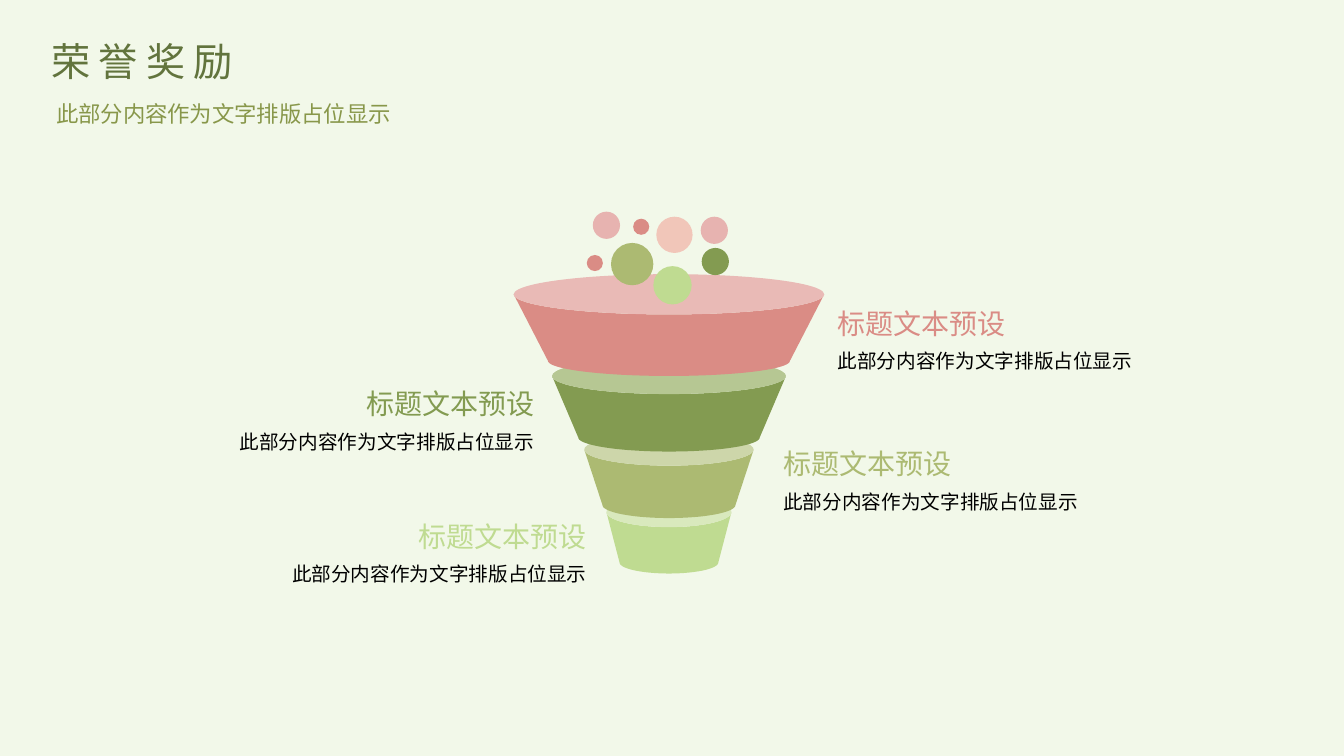
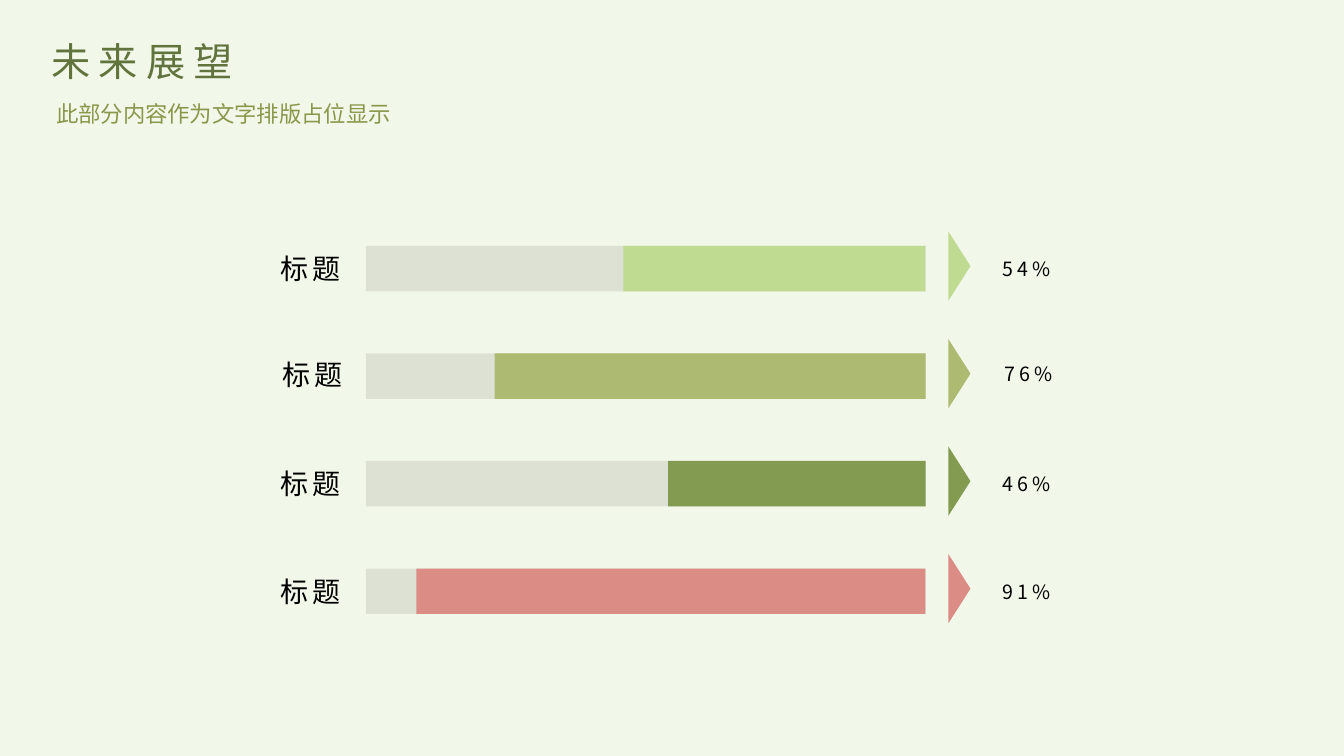
import math

from lxml import etree
from pptx import Presentation
from pptx.dml import color
from pptx.enum import shapes, text
from pptx.oxml import ns
from pptx.util import Inches, Pt

# Shared look
FONT = "Noto Sans CJK SC"
COLOURS = {
    "page": "F2F8E9", "title": "62743D", "subtitle": "88974A", "black": "000000",
    "rose": "DA8C85", "rose_lid": "E9BAB6", "blush": "E7B3B0", "peach": "F1C6B9",
    "moss": "839B51", "moss_lid": "B6C793",
    "olive": "ACBA72", "olive_lid": "CDD6AA",
    "lime": "BFDB91", "lime_lid": "D9E9BD",
}
LEFT, RIGHT = text.PP_ALIGN.LEFT, text.PP_ALIGN.RIGHT
TITLE_STYLE = {"size": 28, "colour": "title", "spacing": 6, "grow": True}
SUBTITLE_STYLE = {"size": 16, "colour": "subtitle", "align": RIGHT,
                  "line_spacing": 1.2, "wrap": False, "grow": True}
ROW_STYLE = {"colour": "black", "spacing": 3, "anchor": text.MSO_ANCHOR.MIDDLE}

# Content
SUBTITLE = "此部分内容作为文字排版占位显示"

# Funnel, top to bottom: rim and base are (centre y, half width, half height)
FUNNEL_X = 6.635
FUNNEL = [
    {"colour": "rose", "rim": (2.92, 1.54, 0.2), "base": (3.58, 1.2, 0.15),
     "edge": 8.21, "top": 2.99, "align": LEFT},
    {"colour": "moss", "rim": (3.73, 1.16, 0.18), "base": (4.34, 0.9, 0.14),
     "edge": 5.4, "top": 3.79, "align": RIGHT},
    {"colour": "olive", "rim": (4.46, 0.84, 0.16), "base": (5.01, 0.66, 0.13),
     "edge": 7.67, "top": 4.38, "align": LEFT},
    {"colour": "lime", "rim": (5.08, 0.62, 0.15), "base": (5.58, 0.49, 0.11),
     "edge": 5.92, "top": 5.1, "align": RIGHT},
]
LABEL_TITLE, LABEL_BODY = "标题文本预设", "此部分内容作为文字排版占位显示"

# Balls: left, top, diameter, colour
BALLS = [
    (6.48, 2.64, 0.38, "lime"), (6.51, 2.15, 0.36, "peach"),
    (6.06, 2.41, 0.42, "olive"), (6.96, 2.46, 0.27, "moss"),
    (6.95, 2.15, 0.27, "blush"), (5.88, 2.1, 0.27, "blush"),
    (5.82, 2.53, 0.16, "rose"), (6.28, 2.17, 0.16, "rose"),
]

# Progress rows: label, percentage, filled share, colour, text shift (x, y)
ROWS = [
    ("标题", "54%", 0.54, "lime", (0, 0)),
    ("标题", "76%", 0.77, "olive", (0.02, -0.02)),
    ("标题", "46%", 0.46, "moss", (0, 0)),
    ("标题", "91%", 0.91, "rose", (0, 0)),
]
BAR_LEFT, BAR_TOP, BAR_WIDTH, BAR_HEIGHT = 3.63, 2.44, 5.55, 0.45
ROW_STEP = 3.2 / 3
ARROW_LONG, ARROW_SHORT, ARROW_X = 0.69, 0.22, 9.515


def rgb(name):
    return color.RGBColor.from_string(COLOURS[name])


def paint(shape, colour, opacity=None):
    shape.shadow.inherit = False
    shape.fill.solid()
    shape.fill.fore_color.rgb = rgb(colour)
    shape.line.fill.background()
    if opacity is not None:
        srgb = shape.fill._xPr.find(".//" + ns.qn("a:srgbClr"))
        etree.SubElement(srgb, ns.qn("a:alpha")).set("val", str(opacity * 1000))
    return shape


def add_preset(slide, kind, box, colour, opacity=None):
    shape = slide.shapes.add_shape(kind, *map(Inches, box))
    return paint(shape, colour, opacity)


def add_text(slide, box, wording, size, colour, align=LEFT, spacing=0,
             line_spacing=None, wrap=True, grow=False, anchor=text.MSO_ANCHOR.TOP):
    frame = slide.shapes.add_textbox(*map(Inches, box)).text_frame
    paragraph = frame.paragraphs[0]
    run = paragraph.add_run()
    run.text = wording
    fit = text.MSO_AUTO_SIZE
    formats = [
        (frame, {"word_wrap": wrap, "vertical_anchor": anchor,
                 "auto_size": fit.SHAPE_TO_FIT_TEXT if grow else fit.NONE}),
        (paragraph, {"alignment": align, "line_spacing": line_spacing}),
        (run.font, {"name": FONT, "size": Pt(size)}),
        (run.font.color, {"rgb": rgb(colour)}),
    ]
    for target, values in formats:
        for name, value in values.items():
            setattr(target, name, value)
    # East Asian font and letter spacing
    properties = run._r.get_or_add_rPr()
    etree.SubElement(properties, ns.qn("a:ea")).set("typeface", FONT)
    if spacing:
        properties.set("spc", str(spacing * 100))


def add_page(prs, title):
    slide = prs.slides.add_slide(prs.slide_layouts[6])
    add_text(slide, (0.41, 0.32, 2.75, 0.57), title, **TITLE_STYLE)
    add_text(slide, (0.41, 0.89, 3.57, 0.4), SUBTITLE, **SUBTITLE_STYLE)
    return slide


def lower_arc(ellipse, steps=40):
    """Points on the lower half of an ellipse, from left to right."""
    y, half_width, half_height = ellipse
    angles = [math.pi * (1 - i / steps) for i in range(steps + 1)]
    return [(Inches(FUNNEL_X + half_width * math.cos(a)),
             Inches(y + half_height * math.sin(a))) for a in angles]


def add_layer(slide, layer):
    # Body between rim and base, then the lid
    start, *outline = lower_arc(layer["rim"]) + lower_arc(layer["base"])[::-1]
    builder = slide.shapes.build_freeform(*start)
    builder.add_line_segments(outline, close=True)
    paint(builder.convert_to_shape(), layer["colour"])
    y, half_width, half_height = layer["rim"]
    lid = (FUNNEL_X - half_width, y - half_height, 2 * half_width, 2 * half_height)
    add_preset(slide, shapes.MSO_SHAPE.OVAL, lid, layer["colour"] + "_lid")


def add_layer_label(slide, layer):
    align, top = layer["align"], layer["top"]

    def left(width):
        return layer["edge"] - (width if align == RIGHT else 0)

    add_text(slide, (left(1.38), top, 1.38, 0.34), LABEL_TITLE, 20,
             layer["colour"], align, wrap=False)
    add_text(slide, (left(4.38), top + 0.38, 4.38, 0.33), LABEL_BODY, 14,
             "black", align, line_spacing=1.2)


def build_awards(prs):
    slide = add_page(prs, "荣誉奖励")
    for layer in reversed(FUNNEL):
        add_layer(slide, layer)
    for left, top, diameter, colour in BALLS:
        add_preset(slide, shapes.MSO_SHAPE.OVAL, (left, top, diameter, diameter), colour)
    for layer in FUNNEL:
        add_layer_label(slide, layer)


def build_outlook(prs):
    slide = add_page(prs, "未来展望")
    for i, (label, percentage, share, colour, (dx, dy)) in enumerate(ROWS):
        top = BAR_TOP + i * ROW_STEP
        # Track and filled part, which grows from the right
        filled = BAR_WIDTH * share
        add_preset(slide, shapes.MSO_SHAPE.RECTANGLE,
                   (BAR_LEFT, top, BAR_WIDTH, BAR_HEIGHT), "black", opacity=9)
        add_preset(slide, shapes.MSO_SHAPE.RECTANGLE,
                   (BAR_LEFT + BAR_WIDTH - filled, top, filled, BAR_HEIGHT), colour)
        # Arrow turned to point right
        middle = top + 0.2
        arrow = add_preset(slide, shapes.MSO_SHAPE.ISOSCELES_TRIANGLE,
                           (ARROW_X - ARROW_LONG / 2, middle - ARROW_SHORT / 2,
                            ARROW_LONG, ARROW_SHORT), colour)
        arrow.rotation = 90
        # Label and percentage
        for left, wording, size, align in ((1.71, label, 20, RIGHT),
                                           (9.84, percentage, 14, LEFT)):
            add_text(slide, (left + dx, top + dy, 1.77, BAR_HEIGHT), wording, size,
                     align=align, **ROW_STYLE)


def main():
    prs = Presentation()
    prs.slide_width, prs.slide_height = Inches(13.33), Inches(7.5)
    background = prs.slide_master.background.fill
    background.solid()
    background.fore_color.rgb = rgb("page")
    build_awards(prs)
    build_outlook(prs)
    prs.save("out.pptx")


if __name__ == "__main__":
    main()
